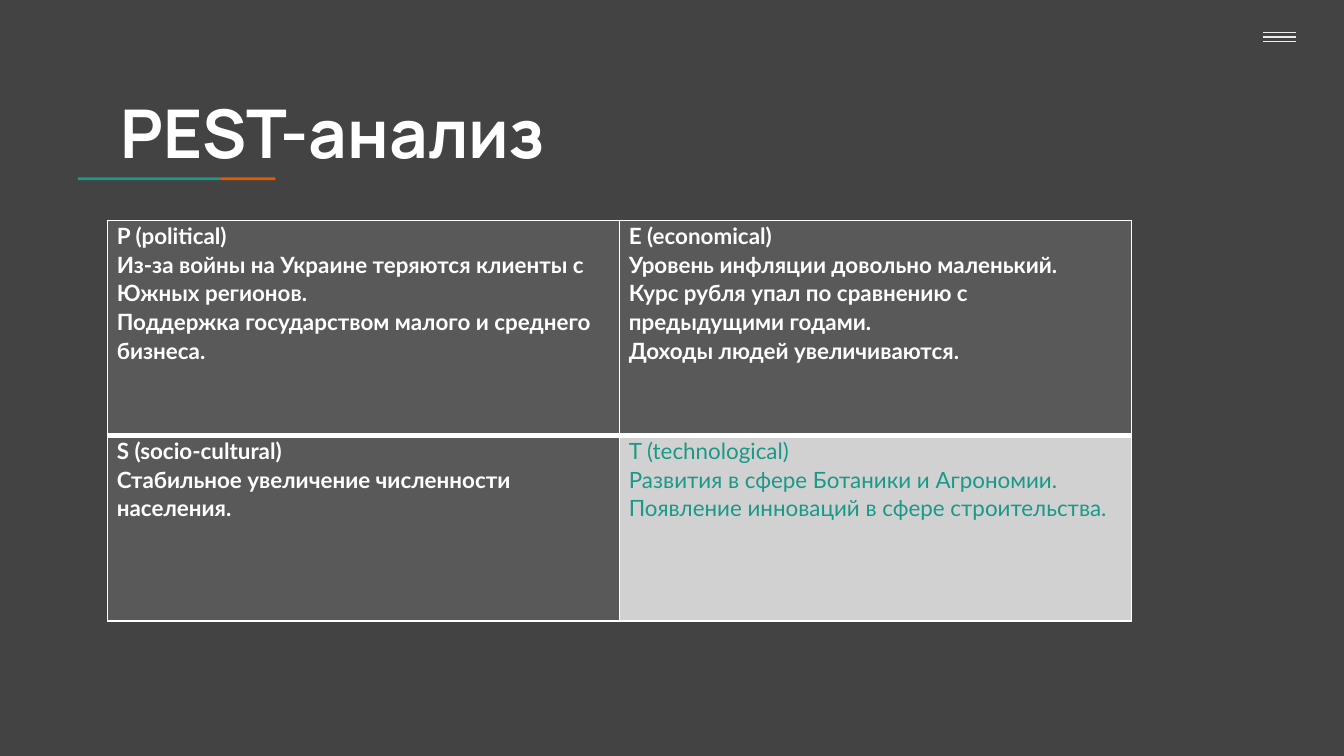
from lxml import etree
from pptx import Presentation
from pptx.dml.color import RGBColor
from pptx.enum.shapes import MSO_CONNECTOR, MSO_SHAPE
from pptx.enum.text import MSO_ANCHOR
from pptx.oxml import parse_xml
from pptx.oxml.ns import nsdecls, qn
from pptx.util import Inches, Pt

STRAIGHT = MSO_CONNECTOR.STRAIGHT
RECTANGLE = MSO_SHAPE.RECTANGLE
TOP = MSO_ANCHOR.TOP

WHITE = RGBColor(0xFF, 0xFF, 0xFF)
CHARCOAL = RGBColor(0x43, 0x43, 0x43)
GRAY = RGBColor(0x59, 0x59, 0x59)
SILVER = RGBColor(0xD1, 0xD1, 0xD1)
TEAL = RGBColor(0x1A, 0x99, 0x88)
ORANGE = RGBColor(0xEB, 0x56, 0x00)
MIST = RGBColor(0xE9, 0xED, 0xEE)

WIDTH = Inches(10)
HEIGHT = WIDTH * 9 // 16
LEFT = 0.08
ROW_HEIGHTS = (1.6, 1.38)
COLUMN_WIDTH = 3.81

TITLE_FONT = {"name": "Manrope", "size": Pt(36), "bold": True}
BOLD_FONT = {"name": "Lato", "size": Pt(12), "bold": True}
PLAIN_FONT = {**BOLD_FONT, "bold": False}
CELL_FORMAT = {"margin_left": Inches(0.07), "margin_right": Inches(0.07),
               "margin_top": 0, "margin_bottom": 0, "vertical_anchor": TOP}
TITLE_FRAME = {"margin_left": Inches(0.1), "margin_right": Inches(0.1),
               "margin_top": Inches(0.1), "margin_bottom": Inches(0.1),
               "word_wrap": True, "vertical_anchor": TOP}

FACTORS = (
    (
        (("P (political)",
          "Из-за войны на Украине теряются клиенты с Южных регионов.",
          "Поддержка государством малого и среднего бизнеса."),
         GRAY, WHITE, BOLD_FONT),
        (("E (economical)",
          "Уровень инфляции довольно маленький.",
          "Курс рубля упал по сравнению с предыдущими годами.",
          "Доходы людей увеличиваются."),
         GRAY, WHITE, BOLD_FONT),
    ),
    (
        (("S (socio-cultural)",
          "Стабильное увеличение численности населения."),
         GRAY, WHITE, BOLD_FONT),
        (("T (technological)",
          "Развития в сфере Ботаники и Агрономии.",
          "Появление инноваций в сфере строительства."),
         SILVER, TEAL, PLAIN_FONT),
    ),
)


def across(share):
    return round(WIDTH * share)


def apply_format(target, values):
    for name, value in values.items():
        setattr(target, name, value)


def add_span(para, text, font, color):
    span = para.add_run()
    span.text = text
    apply_format(span.font, font)
    span.font.color.rgb = color


def add_title(page, *parts):
    box = page.shapes.add_textbox(across(LEFT), Inches(0.58), across(0.767), Inches(0.71))
    apply_format(box.text_frame, TITLE_FRAME)
    for part in parts:
        add_span(box.text_frame.paragraphs[0], part, TITLE_FONT, WHITE)


def add_accent(page, start, end, color):
    bar = page.shapes.add_shape(RECTANGLE, across(start), Inches(1.32),
                                across(end - start), Inches(0.02))
    bar.shadow.inherit = False
    bar.fill.solid()
    bar.fill.fore_color.rgb = color
    bar.line.fill.background()


def add_menu_line(page, top):
    line = page.shapes.add_connector(STRAIGHT, across(0.94), top, across(0.964), top)
    line.line.color.rgb = MIST
    line.line.width = Pt(0.75)
    etree.SubElement(line._element.spPr, qn("a:effectLst"))


def set_borders(cell, widths):
    properties = cell._tc.get_or_add_tcPr()
    for index, (side, width) in enumerate(widths.items()):
        border = parse_xml(
            f'<a:ln{side} {nsdecls("a")} w="{Pt(width)}"><a:solidFill>'
            f'<a:srgbClr val="{WHITE}"/></a:solidFill></a:ln{side}>')
        properties.insert(index, border)


def fill_cell(cell, lines, fill, color, font):
    apply_format(cell, CELL_FORMAT)
    cell.fill.solid()
    cell.fill.fore_color.rgb = fill
    frame = cell.text_frame
    for index, line in enumerate(lines):
        para = frame.add_paragraph() if index else frame.paragraphs[0]
        para.line_spacing = 1.07
        add_span(para, line, font, color)


def add_matrix(page):
    columns = len(FACTORS[0])
    frame = page.shapes.add_table(
        len(FACTORS), columns, across(LEFT), Inches(1.64),
        Inches(COLUMN_WIDTH * columns), Inches(sum(ROW_HEIGHTS)))
    table = frame.table
    for column in table.columns:
        column.width = Inches(COLUMN_WIDTH)
    for row, factors in enumerate(FACTORS):
        table.rows[row].height = Inches(ROW_HEIGHTS[row])
        borders = {"L": 1, "R": 1, "T": 3 if row else 1, "B": 1 if row else 3}
        for column, factor in enumerate(factors):
            cell = table.cell(row, column)
            fill_cell(cell, *factor)
            set_borders(cell, borders)


def main():
    deck = Presentation()
    deck.slide_width, deck.slide_height = WIDTH, HEIGHT
    page = deck.slides.add_slide(deck.slide_layouts[6])
    page.background.fill.solid()
    page.background.fill.fore_color.rgb = CHARCOAL
    add_accent(page, 0.058, 0.164, TEAL)
    add_accent(page, 0.164, 0.205, ORANGE)
    for index in range(3):
        add_menu_line(page, Inches(0.24 + 0.035 * index))
    add_title(page, "PEST", "-анализ")
    add_matrix(page)
    deck.save("out.pptx")


if __name__ == "__main__":
    main()
